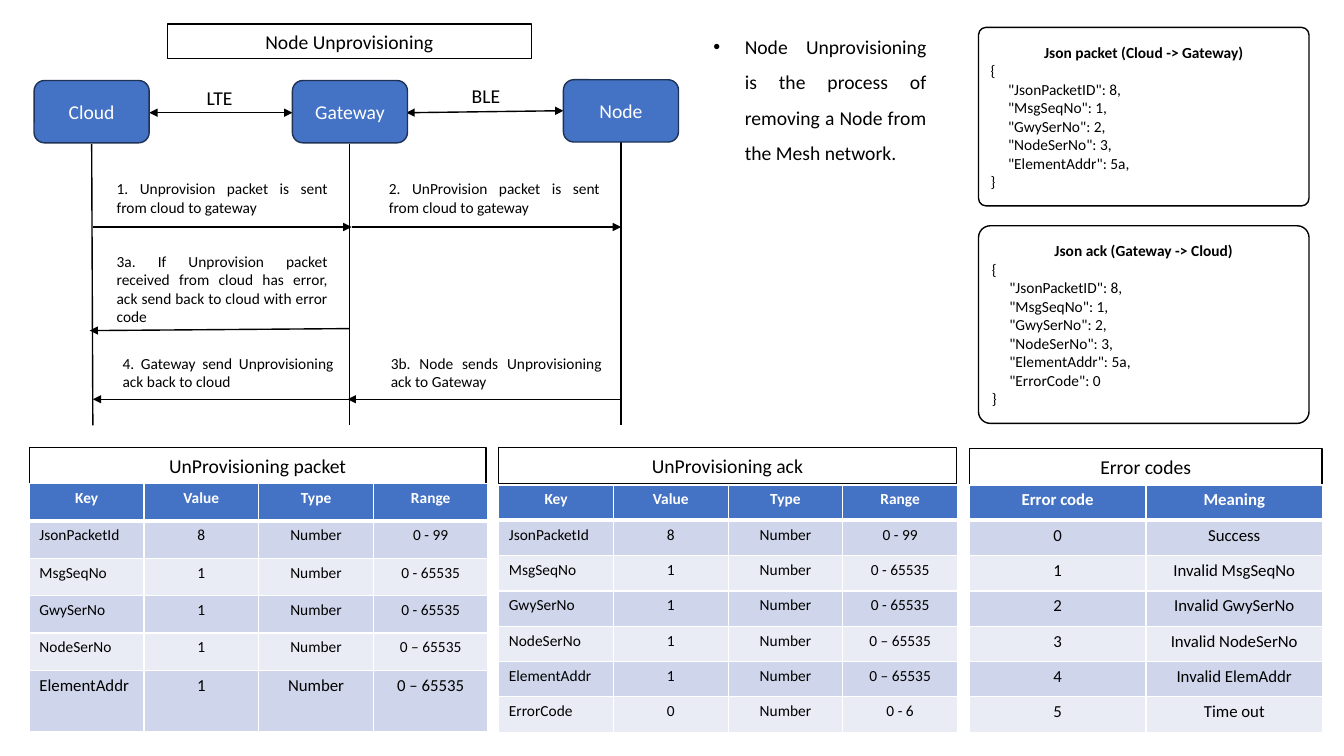
from lxml import etree
from pptx import Presentation
from pptx.dml.color import RGBColor
from pptx.enum.shapes import MSO_CONNECTOR, MSO_SHAPE
from pptx.enum.text import MSO_ANCHOR, PP_ALIGN
from pptx.oxml.ns import qn
from pptx.util import Cm, Pt

RECT, ROUND = MSO_SHAPE.RECTANGLE, MSO_SHAPE.ROUNDED_RECTANGLE
STRAIGHT = MSO_CONNECTOR.STRAIGHT
MIDDLE = MSO_ANCHOR.MIDDLE
LEFT, CENTER, JUSTIFY = PP_ALIGN.LEFT, PP_ALIGN.CENTER, PP_ALIGN.JUSTIFY
COLORS = {"black": "000000", "white": "FFFFFF", "blue": "4472C4",
          "navy": "1E3256", "band": "CFD5EA", "light": "E9EBF5"}


def color(name):
    return RGBColor.from_string(COLORS[name])


def write(p, text, align, size, ink="black", bold=False):
    """Fill one paragraph with a single formatted run."""
    p.alignment = align
    r = p.add_run()
    r.text = text
    for name, value in {"name": "Calibri", "size": Pt(size), "bold": bold}.items():
        setattr(r.font, name, value)
    r.font.color.rgb = color(ink)


prs = Presentation()
prs.slide_width, prs.slide_height = Cm(33.87), Cm(19.05)
s = prs.slides.add_slide(prs.slide_layouts[6])

# Lines: start x, start y, end x, end y, arrowheads
lines = [
    # lifelines
    (2.31, 3.63, 2.34, 10.72, []),
    (8.81, 3.63, 8.81, 10.72, []),
    (15.65, 3.58, 15.65, 10.72, []),
    # messages
    (2.34, 5.72, 8.86, 5.72, ["tailEnd"]),
    (8.86, 5.72, 15.65, 5.72, ["tailEnd"]),
    (15.65, 10.06, 8.76, 10.06, ["tailEnd"]),
    (8.81, 10.06, 2.34, 10.06, ["tailEnd"]),
    (8.81, 8.28, 2.26, 8.33, ["tailEnd"]),
    # radio links
    (3.76, 2.84, 7.37, 2.84, ["headEnd", "tailEnd"]),
    (10.24, 2.84, 14.2, 2.79, ["headEnd", "tailEnd"]),
]
for x1, y1, x2, y2, heads in lines:
    cxn = s.shapes.add_connector(STRAIGHT, Cm(x1), Cm(y1), Cm(x2), Cm(y2))
    cxn.line.width = Pt(1)
    cxn.line.color.rgb = color("black")
    ln = cxn.line._get_or_add_ln()
    for head in heads:
        etree.SubElement(ln, qn("a:" + head), type="triangle")
    etree.SubElement(cxn._element.spPr, qn("a:effectLst"))

# Devices and headings: preset, left, top, width, height, text, fill, line, ink
boxes = [
    (ROUND, 0.86, 2.03, 2.9, 1.57, "Cloud", "blue", "navy", "white"),
    (ROUND, 7.37, 2.03, 2.9, 1.57, "Gateway", "blue", "navy", "white"),
    (ROUND, 14.2, 2.01, 2.9, 1.57, "Node", "blue", "navy", "white"),
    (RECT, 4.22, 0.61, 9.17, 0.86, "Node Unprovisioning", "white", "black", "black"),
    (RECT, 0.74, 11.28, 11.51, 0.91, "UnProvisioning packet", "white", "black", "black"),
    (RECT, 12.57, 11.28, 11.53, 0.91, "UnProvisioning ack", "white", "black", "black"),
    (RECT, 24.43, 11.3, 8.89, 0.91, "Error codes", "white", "black", "black"),
]

# JSON panels: top, height, corner, heading, code
fields = ['     "JsonPacketID": 8,', '     "MsgSeqNo": 1,', '     "GwySerNo": 2,',
          '     "NodeSerNo": 3,', '     "ElementAddr": 5a,']
panels = [
    (0.69, 4.5, 0.043, "Json packet (Cloud -> Gateway)", ["{", *fields, "}"]),
    (5.69, 4.98, 0.06, "Json ack (Gateway -> Cloud)",
     ["{", *fields, '     "ErrorCode": 0', "}"]),
]
for top, height, corner, heading, code in panels:
    boxes.append((ROUND, 24.66, top, 8.33, height, heading, "white", "black", "black"))

code_of = {heading: (corner, code) for _, _, corner, heading, code in panels}
for preset, x, y, w, h, text, fill, line, ink in boxes:
    sp = s.shapes.add_shape(preset, Cm(x), Cm(y), Cm(w), Cm(h))
    sp.shadow.inherit = False
    sp.fill.solid()
    sp.fill.fore_color.rgb = color(fill)
    sp.line.color.rgb = color(line)
    sp.line.width = Pt(1)
    tf = sp.text_frame
    tf.word_wrap = True
    tf.vertical_anchor = MIDDLE
    if text in code_of:
        corner, code = code_of[text]
        sp.adjustments[0] = corner
        write(tf.paragraphs[0], text, CENTER, 11, bold=True)
        for code_line in code:
            write(tf.add_paragraph(), code_line, JUSTIFY, 11)
    else:
        write(tf.paragraphs[0], text, CENTER, 14, ink)

# Labels: left, top, width, height, text, alignment, size
labels = [
    (2.69, 4.39, 5.82, 1.19, "1. Unprovision packet is sent from cloud to gateway", JUSTIFY, 11),
    (9.55, 4.39, 5.82, 1.19, "2. UnProvision packet is sent from cloud to gateway", JUSTIFY, 11),
    (2.69, 6.22, 5.82, 2.13, "3a. If Unprovision packet received from cloud has error, "
     "ack send back to cloud with error code", JUSTIFY, 11),
    (9.6, 8.79, 5.82, 1.19, "3b. Node sends Unprovisioning ack to Gateway", JUSTIFY, 11),
    (2.84, 8.79, 5.82, 1.19, "4. Gateway send Unprovisioning ack back to cloud", JUSTIFY, 11),
    (4.47, 2.03, 2.13, 0.86, "LTE", CENTER, 14),
    (11.18, 1.98, 2.13, 0.86, "BLE", CENTER, 14),
    (17.73, 0.46, 5.87, 3.76, "Node Unprovisioning is the process of removing a Node "
     "from the Mesh network.", JUSTIFY, 14),
]
for x, y, w, h, text, align, size in labels:
    tf = s.shapes.add_textbox(Cm(x), Cm(y), Cm(w), Cm(h)).text_frame
    tf.word_wrap = True
    write(tf.paragraphs[0], text, align, size)

# The last label is the bulleted definition
p = tf.paragraphs[0]
p.line_spacing = 1.5
pPr = p._p.get_or_add_pPr()
pPr.set("marL", str(Cm(0.79)))
pPr.set("indent", str(-Cm(0.79)))
etree.SubElement(pPr, qn("a:buFont"), typeface="Arial")
etree.SubElement(pPr, qn("a:buChar"), char="•")

# Tables: left, top, column width, row heights, first column alignment, sizes, rows
header = ["Key", "Value", "Type", "Range"]
keys = [
    ["JsonPacketId", "8", "Number", "0 - 99"],
    ["MsgSeqNo", "1", "Number", "0 - 65535"],
    ["GwySerNo", "1", "Number", "0 - 65535"],
    ["NodeSerNo", "1", "Number", "0 – 65535"],
    ["ElementAddr", "1", "Number", "0 – 65535"],
]
errors = ["Success", "Invalid MsgSeqNo", "Invalid GwySerNo", "Invalid NodeSerNo",
          "Invalid ElemAddr", "Time out"]
tables = [
    (0.74, 12.19, 2.89, [0.94] * 5 + [1.55], LEFT, [11] * 5 + [12], [header, *keys]),
    (12.57, 12.22, 2.89, [0.89] * 7, LEFT, [11] * 7,
     [header, *keys, ["ErrorCode", "0", "Number", "0 - 6"]]),
    (24.43, 12.22, 4.45, [0.89] * 7, CENTER, [12] * 7,
     [["Error code", "Meaning"], *([str(n), e] for n, e in enumerate(errors))]),
]
for x, y, col_width, heights, first_align, sizes, rows in tables:
    n_cols = len(rows[0])
    table = s.shapes.add_table(len(rows), n_cols, Cm(x), Cm(y),
                               Cm(col_width * n_cols), Cm(sum(heights))).table
    for col in table.columns:
        col.width = Cm(col_width)
    for i, values in enumerate(rows):
        table.rows[i].height = Cm(heights[i])
        is_header = i == 0
        fill = "blue" if is_header else ("light", "band")[i % 2]
        borders = {"lnL": 1, "lnR": 1, "lnT": 1, "lnB": 3} if is_header else {
            "lnL": 1, "lnR": 1, "lnB": 1}
        for j, value in enumerate(values):
            cell = table.cell(i, j)
            tcPr = cell._tc.get_or_add_tcPr()
            for side, width in borders.items():
                ln = etree.SubElement(tcPr, qn("a:" + side), w=str(Pt(width)))
                solid = etree.SubElement(ln, qn("a:solidFill"))
                etree.SubElement(solid, qn("a:srgbClr"), val=COLORS["white"])
            cell.fill.solid()
            cell.fill.fore_color.rgb = color(fill)
            align = first_align if j == 0 and not is_header else CENTER
            write(cell.text_frame.paragraphs[0], value, align, sizes[i],
                  "white" if is_header else "black", is_header)

prs.save("out.pptx")
